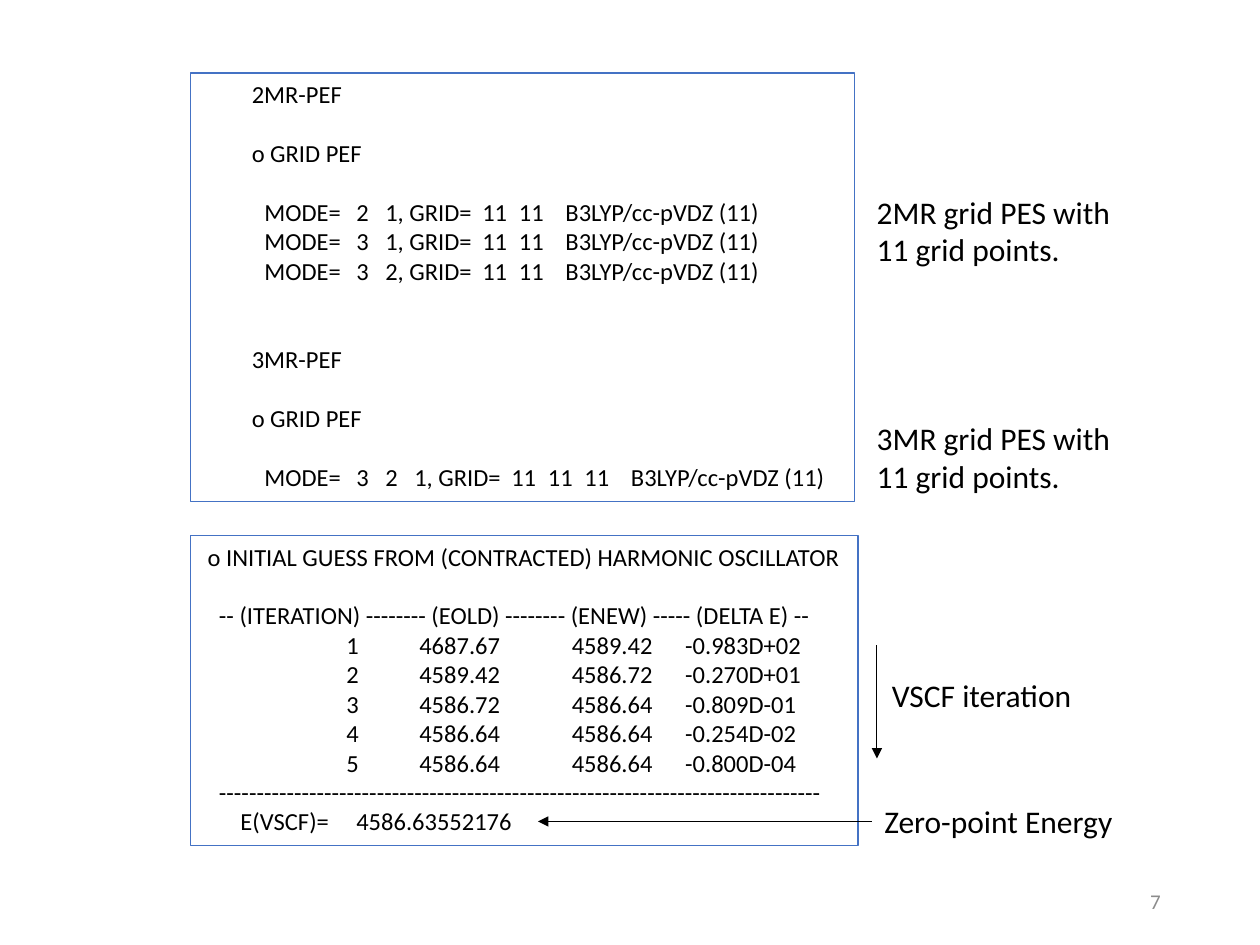
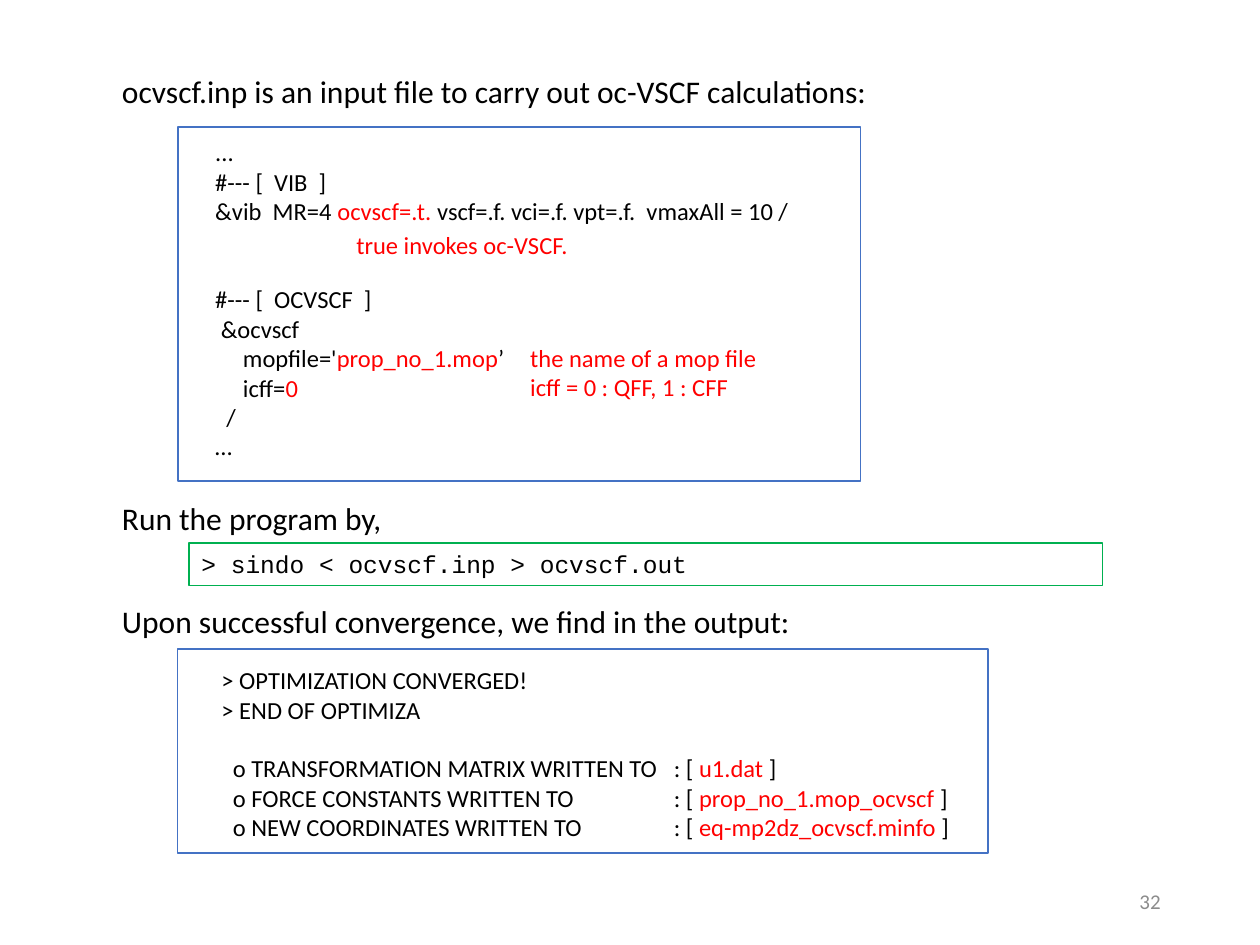
from dataclasses import dataclass

from lxml.etree import SubElement
from pptx import Presentation
from pptx.dml.color import RGBColor as Rgb
from pptx.enum.shapes import MSO_CONNECTOR as Link, MSO_SHAPE as Kind
from pptx.enum.text import MSO_ANCHOR as Anchor, PP_ALIGN as Align
from pptx.oxml.ns import qn
from pptx.util import Inches, Pt


@dataclass(frozen=True)
class Theme:
    ink: Rgb = Rgb(0, 0, 0)
    red: Rgb = Rgb(255, 0, 0)
    blue: Rgb = Rgb(0x44, 0x72, 0xC4)
    green: Rgb = Rgb(0, 0xB0, 0x50)
    gray: Rgb = Rgb(0x8C, 0x8C, 0x8C)
    sans: str = "Calibri"
    mono: str = "Courier New"
    note: int = 18
    body: int = 14
    foot: int = 12
    row: float = 16.8


@dataclass(frozen=True)
class Line:
    text: str
    tabs: tuple = ()
    gap: int = 0


class Deck:
    """Hold the theme and the current slide, and draw each kind of element."""

    def __init__(self):
        self.theme = Theme()
        self.show = Presentation()
        self.show.slide_width, self.show.slide_height = Inches(10), Inches(7.5)

    def page(self, number):
        self.slide = self.show.slides.add_slide(self.show.slide_layouts[6])
        box = self.text((7.06, 6.95, 2.25, 0.4), [Line(number)],
                        self.theme.foot, self.theme.gray)
        box.text_frame.vertical_anchor = Anchor.MIDDLE
        box.text_frame.paragraphs[0].alignment = Align.RIGHT

    def fill(self, frame, lines, size, color, font):
        frame.word_wrap = True
        frame.vertical_anchor = Anchor.TOP
        for spot, line in enumerate(lines):
            para = frame.add_paragraph() if spot else frame.paragraphs[0]
            para.alignment = Align.LEFT
            if line.gap:
                para.space_before = Pt(line.gap * self.theme.row)
            if line.tabs:
                stops = SubElement(para._p.get_or_add_pPr(), qn("a:tabLst"))
                for stop in line.tabs:
                    SubElement(stops, qn("a:tab"), pos=str(Inches(stop)), algn="l")
            para.font.name, para.font.size = font, Pt(size)
            para.font.color.rgb = color
            for turn, part in enumerate(line.text.split("|")):
                run = para.add_run()
                run.text = part
                run.font.color.rgb = self.theme.red if turn % 2 else color

    def text(self, area, lines, size=None, color=None):
        box = self.slide.shapes.add_textbox(*map(Inches, area))
        self.fill(box.text_frame, lines, size or self.theme.body,
                  color or self.theme.ink, self.theme.sans)
        return box

    def note(self, area, words):
        return self.text(area, [Line(words)], self.theme.note)

    def hint(self, area, words):
        return self.text(area, [Line(words)], color=self.theme.red)

    def panel(self, area, lines=(), width=0.75, color=None, font=None):
        box = self.slide.shapes.add_shape(Kind.RECTANGLE, *map(Inches, area))
        box.shadow.inherit = False
        box.fill.background()
        box.line.color.rgb = color or self.theme.blue
        box.line.width = Pt(width)
        self.fill(box.text_frame, lines, self.theme.body, self.theme.ink,
                  font or self.theme.sans)

    def arrow(self, start, end, label=None):
        link = self.slide.shapes.add_connector(
            Link.STRAIGHT, *map(Inches, (*start, *end)))
        if label is not None:
            link.begin_connect(label, 1)
        link.line.color.rgb = self.theme.ink
        link.line.width = Pt(0.5)
        SubElement(link.line._get_or_add_ln(), qn("a:tailEnd"), type="triangle")
        SubElement(link._element.spPr, qn("a:effectLst"))


def grids(deck):
    deck.page("7")
    head, pair = (0.39,), (0.49, 1.22, 1.45, 2.22, 2.51, 2.88)
    trio = (0.49, 1.22, 1.45, 1.68, 2.45, 2.74, 3.03, 3.4)
    level = "B3LYP/cc-pVDZ (11)"
    modes = [Line(f"\tMODE=\t{a}\t{b}, GRID=\t11\t11\t{level}", pair, gap)
             for a, b, gap in ((2, 1, 1), (3, 1, 0), (3, 2, 0))]
    deck.panel((1.51, 0.58, 5.27, 3.4), [
        Line("\t2MR-PEF", head),
        Line("\to GRID PEF", head, 1),
        *modes,
        Line("\t3MR-PEF", head, 2),
        Line("\to GRID PEF", head, 1),
        Line(f"\tMODE=\t3\t2\t1, GRID=\t11\t11\t11\t{level}", trio, 1)])
    for order, top in ((2, 1.48), (3, 3.28)):
        deck.note((6.86, top, 2.24, 0.71),
                  f"{order}MR grid PES with 11 grid points.")

    energy = ("4687.67", "4589.42", "4586.72", "4586.64", "4586.64", "4586.64")
    delta = ("-0.983D+02", "-0.270D+01", "-0.809D-01", "-0.254D-02", "-0.800D-04")
    steps = [Line(f"\t{turn}\t{old}\t{new}\t{diff}", (1.14, 1.72, 2.93, 3.83))
             for turn, (old, new, diff)
             in enumerate(zip(energy, energy[1:], delta), 1)]
    edge = (0.13,)
    deck.panel((1.51, 4.25, 5.3, 2.46), [
        Line("\to INITIAL GUESS FROM (CONTRACTED) HARMONIC OSCILLATOR", (0.04,)),
        Line("\t-- (ITERATION) -------- (EOLD) -------- (ENEW) ----- (DELTA E) --",
             edge, 1),
        *steps,
        Line("\t" + "-" * 80, edge),
        Line("\tE(VSCF)=\t4586.63552176", (0.3, 1.22))])
    deck.note((6.98, 5.32, 1.64, 0.4), "VSCF iteration")
    zero = deck.note((6.92, 6.32, 2.03, 0.4), "Zero-point Energy")
    deck.arrow((6.96, 5.12), (6.96, 6.02))
    deck.arrow((6.92, 6.52), (4.27, 6.52), zero)


def ocvscf(deck):
    deck.page("32")
    for top, words in (
            (0.52, "ocvscf.inp is an input file to carry out oc-VSCF calculations:"),
            (3.91, "Run the program by,"),
            (4.73, "Upon successful convergence, we find in the output:")):
        deck.note((0.87, top, 6.53, 0.4), words)

    deck.text((1.61, 1.04, 4.78, 2.69), [
        Line("..."),
        Line("#--- [  VIB  ]"),
        Line("&vib  MR=4 |ocvscf=.t. |vscf=.f. vci=.f. vpt=.f.  vmaxAll = 10 /"),
        Line("#--- [  OCVSCF  ]", gap=2),
        Line(" &ocvscf"),
        Line("     mopfile='|prop_no_1.mop|’"),
        Line("     icff=|0"),
        Line("  /"),
        Line("…")])
    deck.hint((2.73, 1.78, 1.89, 0.34), "true invokes oc-VSCF.")
    deck.hint((4.11, 2.67, 2.01, 0.34), "the name of a mop file")
    deck.hint((4.11, 2.9, 1.84, 0.34), "icff = 0 : QFF, 1 : CFF")
    deck.panel((1.41, 1.01, 5.42, 2.81), width=1)

    deck.panel((1.5, 4.31, 7.25, 0.34), [Line("> sindo < ocvscf.inp > ocvscf.out")],
               color=deck.theme.green, font=deck.theme.mono)

    files = (("TRANSFORMATION MATRIX", "u1.dat", 1),
             ("FORCE CONSTANTS", "prop_no_1.mop_ocvscf", 0),
             ("NEW COORDINATES", "eq-mp2dz_ocvscf.minfo", 0))
    deck.text((1.61, 5.23, 6.06, 1.51), [
        Line("\t> OPTIMIZATION CONVERGED!", (0.05,)),
        Line("\t> END OF OPTIMIZA", (0.05,)),
        *[Line(f"\to {item} WRITTEN TO\t: [ |{file}| ]", (0.14, 3.64), gap)
          for item, file, gap in files]])
    deck.panel((1.41, 5.15, 6.43, 1.62), width=1)


def main():
    deck = Deck()
    grids(deck)
    ocvscf(deck)
    deck.show.save("out.pptx")


if __name__ == "__main__":
    main()
